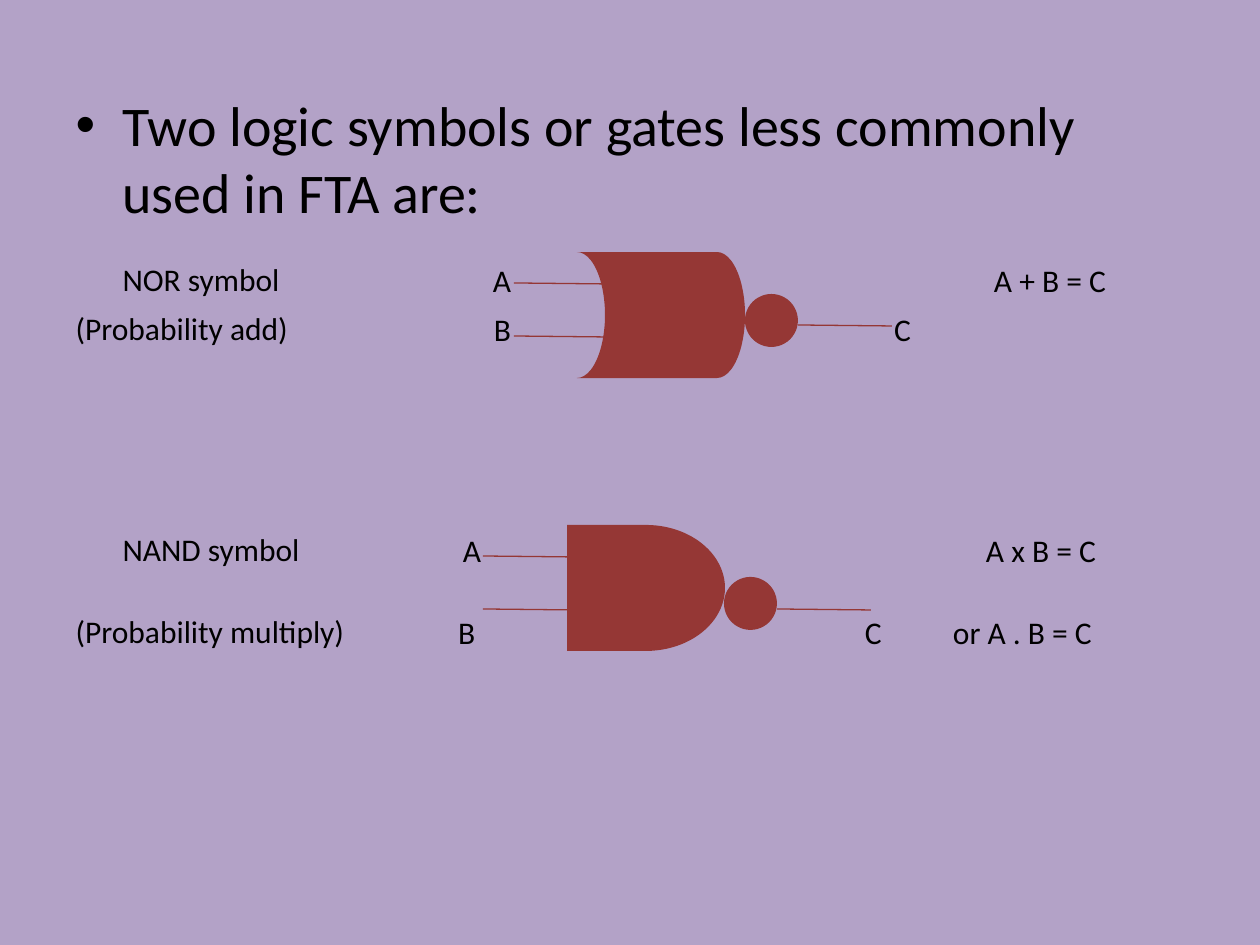
from dataclasses import dataclass

from lxml import etree
from pptx import Presentation
from pptx import util as u
from pptx.dml.color import RGBColor
from pptx.enum import shapes, text
from pptx.oxml.ns import qn

PX = 914400 // 126


@dataclass(frozen=True)
class Theme:
    background: str = "B3A2C7"
    gate: str = "953735"
    ink: str = "000000"
    font: str = "Calibri"
    heading: int = 32
    label: int = 18
    wire: float = 0.75


THEME = Theme()
HANGING = 47
BUBBLE = 53
LABEL_HEIGHT = 39

# Text, space before and left margin, in px
NAMES = [
    ("NOR symbol", 35, HANGING),
    ("(Probability add)", 11, 0),
    ("NAND symbol", 184, HANGING),
    ("(Probability multiply)", 44, 0),
]

# Vertical middle of a text row, then each label with its left edge, in px
LABEL_ROWS = [
    (281, [("A", 493), ("A + B = C", 994)]),
    (330, [("B", 494), ("C", 894)]),
    (551, [("A", 463), ("A x B = C", 986)]),
    (633, [("B", 458), ("C", 865), ("or A . B = C", 953)]),
]


def px(n):
    return u.Emu(n * PX)


def rgb(code):
    return RGBColor.from_string(code)


def write(p, words, size=THEME.label, before=0, bullet=None, margin=0):
    """Fill a paragraph; a bullet hangs by the margin."""
    pPr = p._p.get_or_add_pPr()
    pPr.set("marL", str(px(margin)))
    pPr.set("indent", str(px(-margin if bullet else 0)))
    if bullet:
        etree.SubElement(pPr, qn("a:buChar")).set("char", bullet)
    else:
        etree.SubElement(pPr, qn("a:buNone"))
    p.space_before = px(before)
    r = p.add_run()
    r.text = words
    r.font.name = THEME.font
    r.font.size = u.Pt(size)
    r.font.color.rgb = rgb(THEME.ink)


def add_body(slide):
    body = slide.placeholders[1]
    body.left, body.top, body.width, body.height = map(px, (63, 84, 1134, 760))
    tf = body.text_frame
    tf.word_wrap = True
    tf.auto_size = text.MSO_AUTO_SIZE.NONE
    write(tf.paragraphs[0],
          "Two logic symbols or gates less commonly used in FTA are:",
          THEME.heading, bullet="•", margin=HANGING)
    for words, before, margin in NAMES:
        write(tf.add_paragraph(), words, before=before, margin=margin)


def add_label(slide, words, x, middle):
    width = 20 + 14 * len(words)
    sp = slide.shapes.add_textbox(
        *map(px, (x, middle - LABEL_HEIGHT // 2 - 1, width, LABEL_HEIGHT)))
    tf = sp.text_frame
    tf.margin_left = tf.margin_right = tf.margin_top = tf.margin_bottom = 0
    tf.word_wrap = True
    write(tf.paragraphs[0], words)


def add_solid(slide, kind, x, y, w, h, rotation=0):
    sp = slide.shapes.add_shape(kind, *map(px, (x, y, w, h)))
    sp.rotation = rotation
    sp.shadow.inherit = False
    sp.fill.solid()
    sp.fill.fore_color.rgb = rgb(THEME.gate)
    sp.line.fill.background()


def add_wire(slide, x, y, length=94, drop=1):
    line = slide.shapes.add_connector(
        shapes.MSO_CONNECTOR.STRAIGHT, px(x), px(y), px(x + length), px(y + drop))
    line.line.color.rgb = rgb(THEME.gate)
    line.line.width = u.Pt(THEME.wire)
    etree.SubElement(line._element.spPr, qn("a:effectLst"))


def add_gate(slide, kind, box, inputs, bubble, output_y, rotation=0):
    """Draw a gate body, its input wires, and its inverting bubble with output."""
    add_solid(slide, kind, *box, rotation=rotation)
    for x, y in inputs:
        add_wire(slide, x, y)
    add_solid(slide, shapes.MSO_SHAPE.FLOWCHART_CONNECTOR, *bubble, BUBBLE, BUBBLE)
    add_wire(slide, bubble[0] + BUBBLE, output_y)


def main():
    prs = Presentation()
    prs.slide_width, prs.slide_height = u.Inches(10), u.Inches(7.5)
    slide = prs.slides.add_slide(prs.slide_layouts[1])
    slide.background.fill.solid()
    slide.background.fill.fore_color.rgb = rgb(THEME.background)
    title = slide.shapes.title._element
    title.getparent().remove(title)

    add_body(slide)
    for middle, labels in LABEL_ROWS:
        for words, x in labels:
            add_label(slide, words, x, middle)
    add_gate(slide, shapes.MSO_SHAPE.FLOWCHART_STORED_DATA, (577, 252, 168, 126),
             [(514, 283), (514, 336)], (745, 294), 325, rotation=180)
    add_gate(slide, shapes.MSO_SHAPE.FLOWCHART_DELAY, (567, 525, 158, 126),
             [(483, 556), (483, 609)], (724, 577), 609)
    prs.save("out.pptx")


if __name__ == "__main__":
    main()
